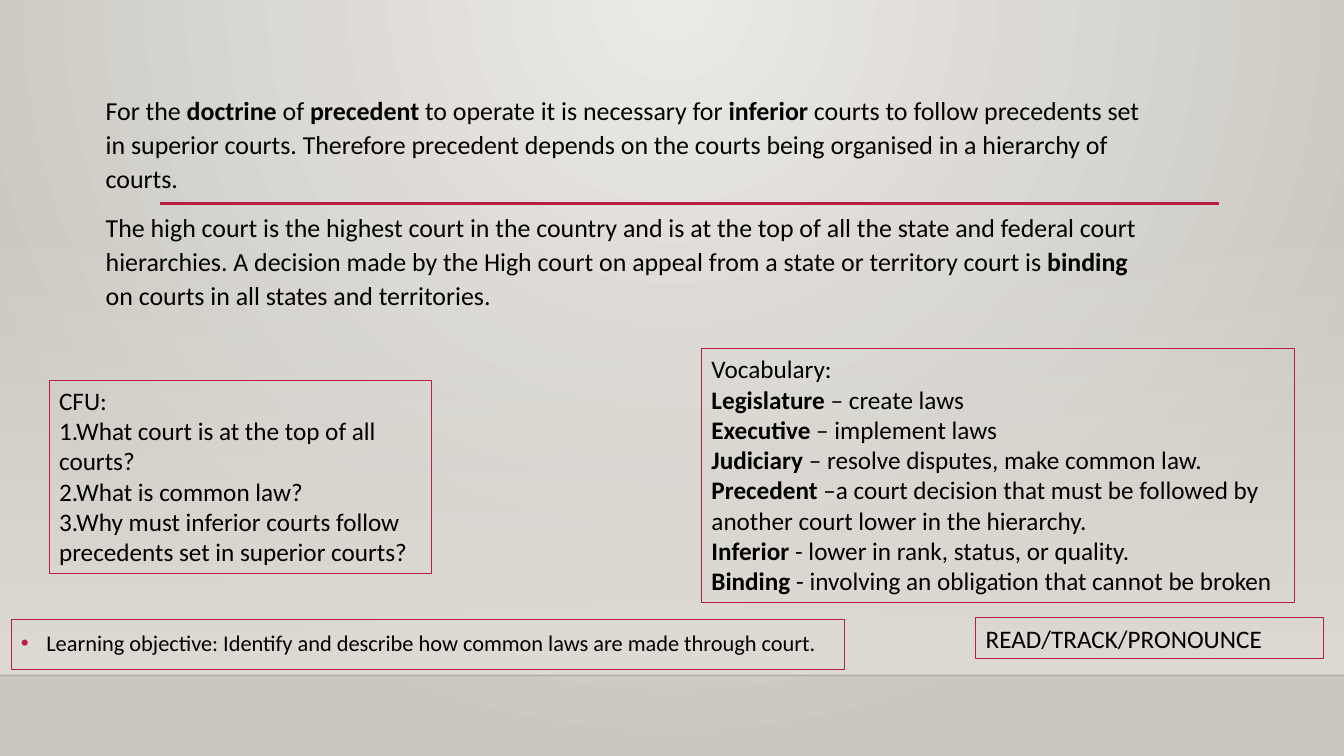
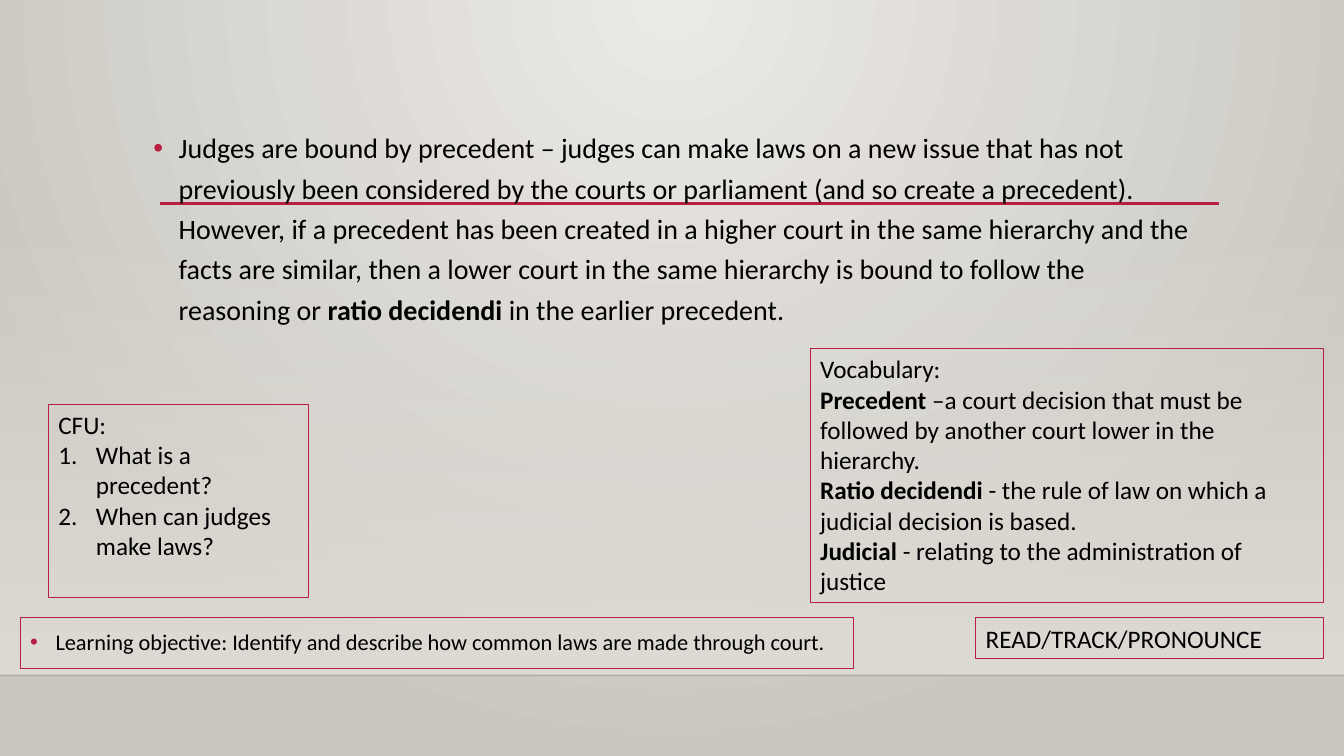
import pptx
import pptx.dml.color
import pptx.enum.shapes
import pptx.enum.text
import pptx.oxml.ns
import pptx.util
from lxml import etree

Cm, Pt = pptx.util.Cm, pptx.util.Pt
qn = pptx.oxml.ns.qn

FONT = "Calibri"
COLORS = {
    "text": "000000",
    "accent": "B71E42",
    "glow": "ECEAE7",
    "edge": "CAC7C1",
    "floor": "DFDBD5",
    "floor_edge": "000001",
}
SLIDE_W, SLIDE_H = 33.87, 19.05
FLOOR_TOP, FLOOR_BOTTOM = 5.61, 17.02
BULLET_INDENT, NUMBER_INDENT = 0.64, 0.95
OBJECTIVE = ("Learning objective: Identify and describe how common laws "
             "are made through court.")


def rgb(name):
    return pptx.dml.color.RGBColor.from_string(COLORS[name])


def set_alpha(element, percent):
    color = element.find(".//" + qn("a:srgbClr"))
    etree.SubElement(color, qn("a:alpha"), val=str(percent * 1000))


def set_stops(fill, *names):
    fill.gradient()
    for stop, name in zip(fill.gradient_stops, names):
        stop.color.rgb = rgb(name)


# Text
def set_marker(paragraph, marker):
    """Marker is "bullet", "number" or None."""
    props = paragraph._p.get_or_add_pPr()
    indent = {"bullet": BULLET_INDENT, "number": NUMBER_INDENT}.get(marker, 0)
    props.set("marL", str(Cm(indent)))
    props.set("indent", str(-Cm(indent)))
    if marker == "bullet":
        tint = etree.SubElement(props, qn("a:buClr"))
        etree.SubElement(tint, qn("a:srgbClr"), val=COLORS["accent"])
        etree.SubElement(props, qn("a:buFont"), typeface="Arial")
        etree.SubElement(props, qn("a:buChar"), char="•")
    elif marker == "number":
        etree.SubElement(props, qn("a:buFont"), typeface="+mj-lt")
        etree.SubElement(props, qn("a:buAutoNum"), type="arabicPeriod")
    else:
        etree.SubElement(props, qn("a:buNone"))


def write(paragraph, text, size=18, marker=None, spacing=1.0, before=0):
    """Fill a paragraph; words between double asterisks are bold."""
    set_marker(paragraph, marker)
    paragraph.line_spacing = spacing
    paragraph.space_before = Pt(before)
    for index, part in enumerate(text.split("**")):
        if part:
            run = paragraph.add_run()
            run.text = part
            run.font.name = FONT
            run.font.size = Pt(size)
            run.font.bold = index % 2 == 1
            run.font.color.rgb = rgb("text")


def fill_frame(frame, lines, before=0, heading=None, **style):
    frame.word_wrap = True
    frame.auto_size = pptx.enum.text.MSO_AUTO_SIZE.NONE
    frame.vertical_anchor = pptx.enum.text.MSO_ANCHOR.TOP
    paragraph = frame.paragraphs[0]
    if heading:
        write(paragraph, heading)
        paragraph = frame.add_paragraph()
    for index, line in enumerate(lines):
        if index:
            paragraph = frame.add_paragraph()
        write(paragraph, line, before=before if index else 0, **style)


# Regions of a slide; each box is (left, top, width, height) in cm
def add_passage(slide, box, lines, **style):
    body = slide.placeholders[1]
    body.left, body.top, body.width, body.height = map(Cm, box)
    fill_frame(body.text_frame, lines, before=10, **style)


def add_panel(slide, box, lines, **style):
    panel = slide.shapes.add_textbox(*map(Cm, box))
    panel.line.color.rgb = rgb("accent")
    panel.line.width = Pt(0.75)
    fill_frame(panel.text_frame, lines, **style)


def add_rule(slide, left, right, y, color, width):
    rule = slide.shapes.add_connector(
        pptx.enum.shapes.MSO_CONNECTOR.STRAIGHT, Cm(left), Cm(y), Cm(right), Cm(y))
    rule.line.color.rgb = rgb(color)
    rule.line.width = Pt(width)
    etree.SubElement(rule.element.spPr, qn("a:effectLst"))
    return rule


def add_floor(slide):
    floor = slide.shapes.add_shape(
        pptx.enum.shapes.MSO_SHAPE.RECTANGLE, 0, Cm(FLOOR_TOP),
        Cm(SLIDE_W), Cm(FLOOR_BOTTOM - FLOOR_TOP))
    floor.shadow.inherit = False
    floor.line.fill.background()
    set_stops(floor.fill, "floor", "floor")
    floor.fill.gradient_angle = 270
    set_alpha(floor.element.spPr, 0)
    return floor


# Shared backdrop, kept on the layout
def dress_layout(layout, slide):
    """Draw the shared parts on a slide, then move them to its layout."""
    set_stops(layout.background.fill, "glow", "edge")
    gradient = layout.element.find(".//" + qn("p:bgPr")).find(qn("a:gradFill"))
    gradient.remove(gradient.find(qn("a:lin")))
    radial = etree.SubElement(gradient, qn("a:path"), path="circle")
    etree.SubElement(radial, qn("a:fillToRect"),
                     l="43000", t="0", r="43000", b="100000")

    floor_edge = add_rule(slide, 0, SLIDE_W, FLOOR_BOTTOM, "floor_edge", 1)
    set_alpha(floor_edge.element.spPr, 20)
    title_rule = add_rule(slide, 4.04, 30.73, 5.13, "accent", 2.5)
    backdrop = (add_floor(slide), floor_edge, title_rule)
    for index, part in enumerate(backdrop):
        part.element.find(".//" + qn("p:cNvPr")).set("id", str(20 + index))
        layout.shapes.element.insert(2 + index, part.element)


def add_lesson(deck, layout, passage, vocabulary, questions, objective_at):
    """Passage, vocabulary and questions are (box, lines, style)."""
    slide = deck.slides.add_slide(layout)
    title = slide.shapes.title.element
    title.getparent().remove(title)
    box, lines, style = passage
    add_passage(slide, box, lines, **style)
    for heading, (box, lines, style) in (("Vocabulary:", vocabulary),
                                         ("CFU:", questions)):
        add_panel(slide, box, lines, heading=heading, **style)
    add_panel(slide, (*objective_at, 21.01, 1.27), [OBJECTIVE],
              size=16, marker="bullet", spacing=1.2)
    add_panel(slide, (24.59, 15.57, 8.76, 1.02), ["READ/TRACK/PRONOUNCE"])
    return slide


def main():
    deck = pptx.Presentation()
    deck.slide_width, deck.slide_height = Cm(SLIDE_W), Cm(SLIDE_H)
    layout = deck.slide_layouts[1]

    # Doctrine of precedent
    doctrine = add_lesson(
        deck, layout,
        passage=((2.41, 2.18, 26.67, 6.17), [
            "For the **doctrine** of **precedent** to operate it is necessary for "
            "**inferior** courts to follow precedents set in superior courts. "
            "Therefore precedent depends on the courts being organised in a "
            "hierarchy of courts.",
            "The high court is the highest court in the country and is at the top "
            "of all the state and federal court hierarchies. A decision made by the "
            "High court on appeal from a state or territory court is **binding** on "
            "courts in all states and territories.",
        ], {"size": 18.5, "spacing": 1.1}),
        vocabulary=((17.68, 8.79, 14.94, 6.4), [
            "**Legislature** – create laws",
            "**Executive** – implement laws",
            "**Judiciary** – resolve disputes, make common law.",
            "**Precedent** –a court decision that must be followed by another "
            "court lower in the hierarchy.",
            "**Inferior** - lower in rank, status, or quality.",
            "**Binding** - involving an obligation that cannot be broken",
        ], {}),
        questions=((1.24, 9.58, 9.63, 4.88), [
            "1.What court is at the top of all courts?",
            "2.What is common law?",
            "3.Why must inferior courts follow precedents set in superior courts?",
        ], {}),
        objective_at=(0.28, 15.6))
    dress_layout(layout, doctrine)

    # Judges bound by precedent
    add_lesson(
        deck, layout,
        passage=((3.61, 3, 26.67, 5.89), [
            "Judges are bound by precedent – judges can make laws on a new issue "
            "that has not previously been considered by the courts or parliament "
            "(and so create a precedent). However, if a precedent has been created "
            "in a higher court in the same hierarchy and the facts are similar, "
            "then a lower court in the same hierarchy is bound to follow the "
            "reasoning or **ratio decidendi **in the earlier precedent.",
        ], {"size": 20, "marker": "bullet", "spacing": 1.2}),
        vocabulary=((20.42, 8.79, 12.93, 6.4), [
            "**Precedent** –a court decision that must be followed by another "
            "court lower in the hierarchy.",
            "**Ratio decidendi **- the rule of law on which a judicial decision "
            "is based.",
            "**Judicial** - relating to the administration of justice",
        ], {}),
        questions=((1.22, 10.19, 6.55, 4.88), [
            "What is a precedent?",
            "When can judges make laws?",
        ], {"marker": "number"}),
        objective_at=(0.51, 15.57))

    deck.save("out.pptx")


if __name__ == "__main__":
    main()
